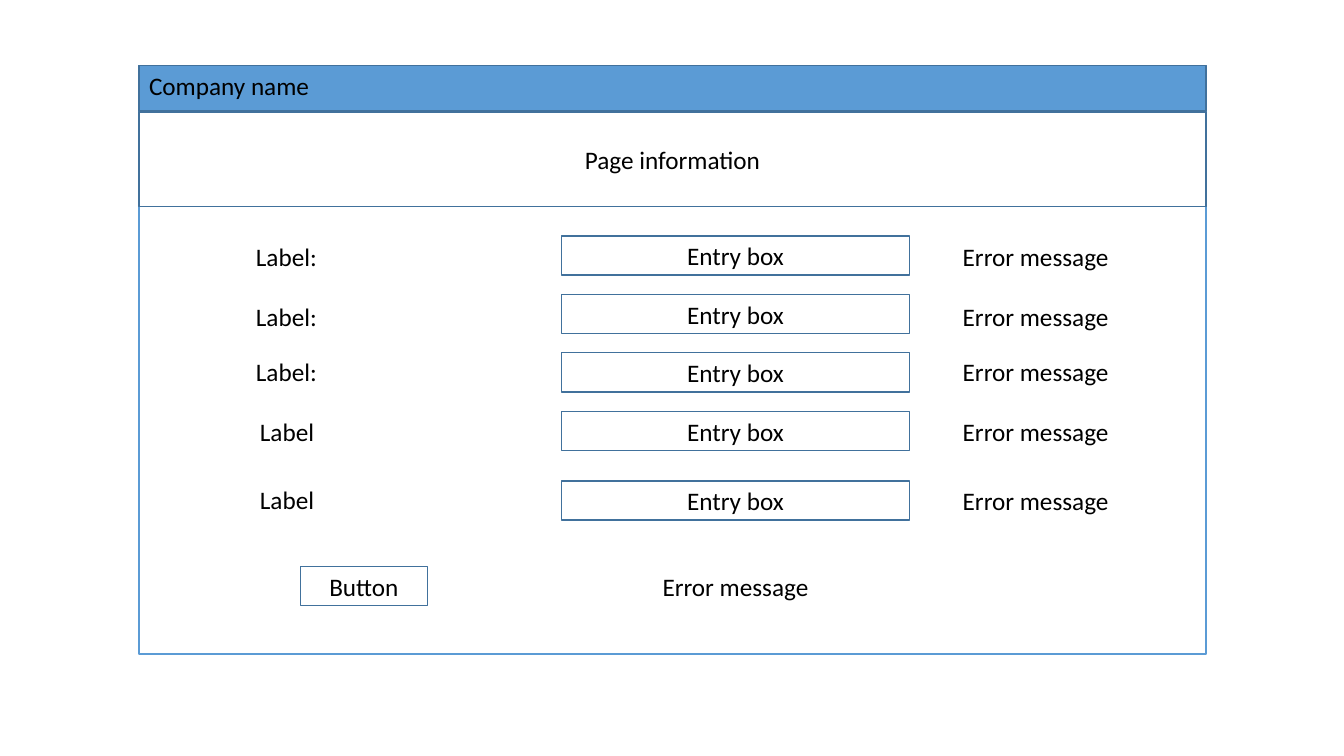
from lxml import etree
from pptx import Presentation
from pptx.dml.color import RGBColor
from pptx.enum.shapes import MSO_CONNECTOR, MSO_SHAPE
from pptx.enum.text import MSO_ANCHOR, MSO_AUTO_SIZE, PP_ALIGN
from pptx.oxml.ns import qn
from pptx.util import Pt

PX = 9144
RECT = MSO_SHAPE.RECTANGLE
STRAIGHT = MSO_CONNECTOR.STRAIGHT
LEFT, CENTER = PP_ALIGN.LEFT, PP_ALIGN.CENTER
TOP, MIDDLE = MSO_ANCHOR.TOP, MSO_ANCHOR.MIDDLE
GROW = MSO_AUTO_SIZE.SHAPE_TO_FIT_TEXT
BLUE, EDGE, WHITE, BLACK = "5B9BD5", "41719C", "FFFFFF", "000000"

prs = Presentation()
prs.slide_width, prs.slide_height = 1333 * PX, 750 * PX
s = prs.slides.add_slide(prs.slide_layouts[6])


def add_text(sp, text, align, anchor):
    tf = sp.text_frame
    tf.word_wrap = True
    tf.vertical_anchor = anchor
    p = tf.paragraphs[0]
    p.text = text
    p.alignment = align
    p.font.name = "Calibri"
    p.font.size = Pt(18)
    p.font.color.rgb = RGBColor.from_string(BLACK)


def add_box(x, y, w, h, line=EDGE, fill=None, text=None):
    sp = s.shapes.add_shape(RECT, x * PX, y * PX, w * PX, h * PX)
    sp.shadow.inherit = False
    sp.line.color.rgb = RGBColor.from_string(line)
    sp.line.width = Pt(1)
    if fill:
        sp.fill.solid()
        sp.fill.fore_color.rgb = RGBColor.from_string(fill)
    else:
        sp.fill.background()
    if text:
        add_text(sp, text, CENTER, MIDDLE)


add_box(138, 65, 1058, 584, line=BLUE)
rule = s.shapes.add_connector(STRAIGHT, 138 * PX, 110 * PX, 977 * PX, 110 * PX)
rule.line.color.rgb = RGBColor.from_string(BLUE)
rule.line.width = Pt(0.5)
etree.SubElement(rule._element.spPr, qn("a:effectLst"))
add_box(138, 65, 1058, 45, fill=BLUE)
add_box(138, 111, 1058, 94, fill=WHITE, text="Page information")

texts = [
    ("Company name", 138, 65, 220, LEFT),
    ("Error message", 616, 562, 227, CENTER),
]
rows = [
    ("Label:", 244, 234, 234, 234),
    ("Label:", 244, 294, 292, 294),
    ("Label:", 244, 349, 350, 349),
    ("Label", 248, 408, 408, 408),
    ("Label", 248, 476, 477, 477),
]
for label, label_x, label_y, entry_y, error_y in rows:
    add_box(557, entry_y, 345, 39, text="Entry box")
    texts.append((label, label_x, label_y, 227, LEFT))
    texts.append(("Error message", 945, error_y, 227, LEFT))

for text, x, y, w, align in texts:
    sp = s.shapes.add_textbox(x * PX, y * PX, w * PX, 40 * PX)
    add_text(sp, text, align, TOP)
    sp.text_frame.auto_size = GROW

add_box(298, 562, 126, 39, text="Button")

prs.save("out.pptx")
